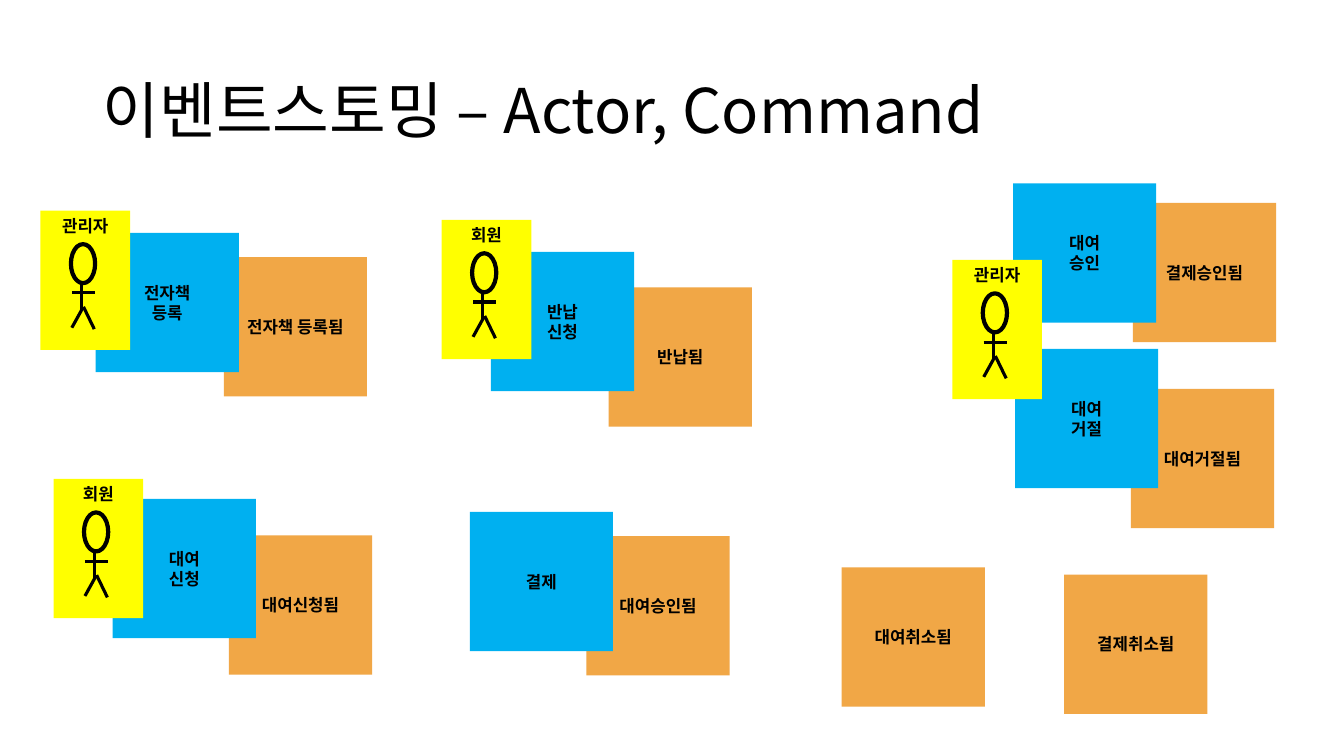
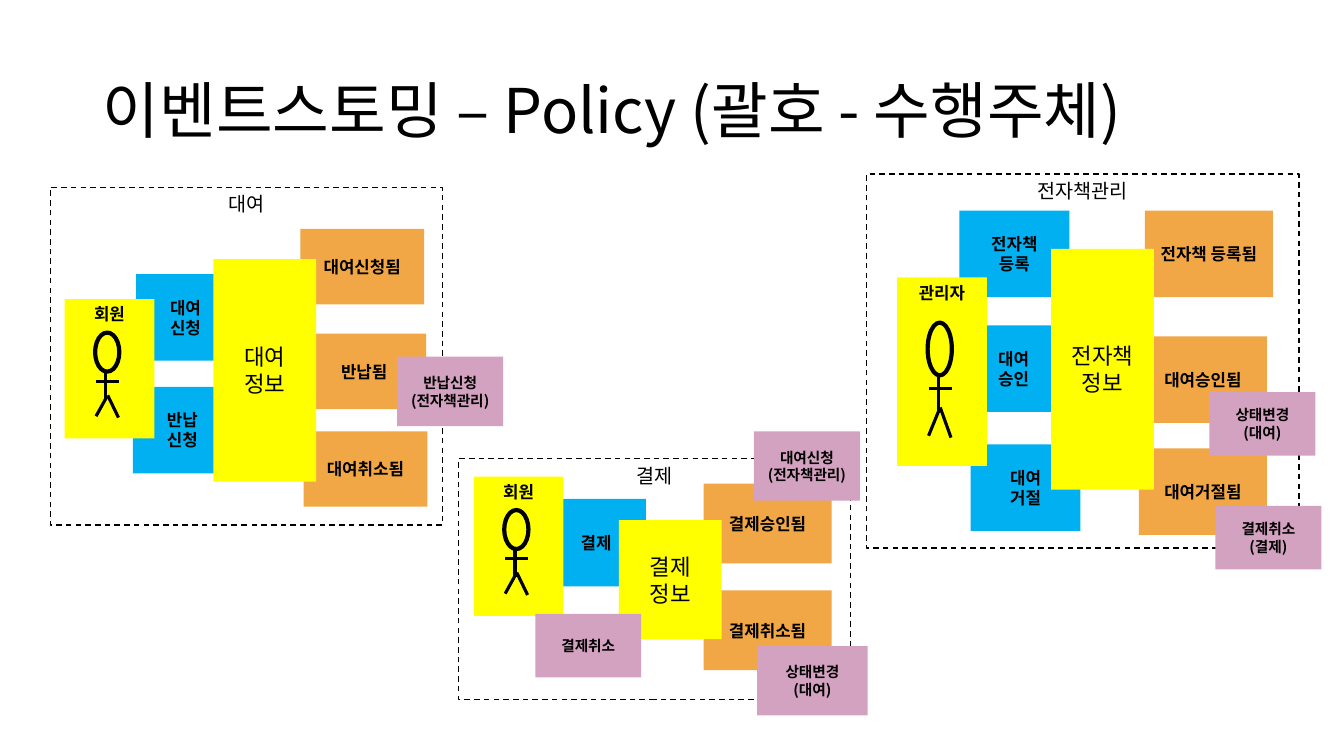
from dataclasses import dataclass
from typing import Optional

from lxml.etree import SubElement
from pptx import Presentation
from pptx.dml.color import RGBColor
from pptx.enum.dml import MSO_LINE
from pptx.enum.shapes import MSO_CONNECTOR, MSO_SHAPE
from pptx.enum.text import MSO_ANCHOR, PP_ALIGN
from pptx.oxml.ns import qn
from pptx.util import Cm, Pt

FONT = "Noto Sans CJK KR"
COLORS = {
    "ink": "000000",
    "event": "F1A746",
    "command": "00B0F0",
    "yellow": "FFFF00",
    "policy": "D4A2C1",
}


@dataclass(frozen=True)
class Style:
    fill: Optional[str]
    size: float
    bold: bool = True
    anchor: MSO_ANCHOR = MSO_ANCHOR.MIDDLE


@dataclass(frozen=True)
class Note:
    """A sticky note; position and size in cm."""
    text: str
    x: float
    y: float
    w: float
    h: float


@dataclass(frozen=True)
class Limb:
    """A stroke of the stick figure, as fractions of the actor note."""
    x1: float
    y1: float
    x2: float
    y2: float


# Kinds of note, listed from back to front
STYLES = {
    "event": Style("event", 12),
    "command": Style("command", 12),
    "actor": Style("yellow", 12, anchor=MSO_ANCHOR.TOP),
    "aggregate": Style("yellow", 16, bold=False),
    "boundary": Style(None, 14, bold=False, anchor=MSO_ANCHOR.TOP),
    "policy": Style("policy", 10.5),
}

HEAD = (0.34, 0.24, 0.27, 0.28)
LIMBS = [
    Limb(0.35, 0.59, 0.61, 0.59),  # arms
    Limb(0.46, 0.52, 0.46, 0.72),  # body
    Limb(0.47, 0.7, 0.35, 0.84),   # left leg
    Limb(0.48, 0.69, 0.6, 0.85),   # right leg
]

# Shared note sizes
SQUARE = (3.61, 3.51)
ACTOR = (2.26, 3.51)
RENT_EVENT = (3.12, 1.9)
BOOK_EVENT = (3.23, 2.18)
PAY_EVENT = (3.23, 2.01)
RENT_COMMAND = (2.49, 2.18)
BOOK_COMMAND = (2.77, 2.18)
LOW_POLICY = (2.67, 1.6)
TALL_POLICY = (2.67, 1.75)

ACTOR_COMMAND = {
    "event": [
        Note("전자책 등록됨", 5.64, 6.48, *SQUARE),
        Note("대여신청됨", 5.77, 13.49, *SQUARE),
        Note("결제승인됨", 28.55, 5.11, *SQUARE),
        Note("대여승인됨", 14.78, 13.51, *SQUARE),
        Note("대여거절됨", 28.5, 9.8, *SQUARE),
        Note("반납됨", 15.34, 7.24, *SQUARE),
        Note("대여취소됨", 21.21, 14.3, *SQUARE),
        Note("결제취소됨", 26.82, 14.48, *SQUARE),
    ],
    "command": [
        Note("전자책\n등록", 2.41, 5.87, *SQUARE),
        Note("대여\n신청", 2.84, 12.57, *SQUARE),
        Note("대여\n승인", 25.53, 4.62, *SQUARE),
        Note("반납\n신청", 12.37, 6.35, *SQUARE),
        Note("결제", 11.84, 12.9, *SQUARE),
        Note("대여\n거절", 25.58, 8.79, *SQUARE),
    ],
    "actor": [
        Note("회원", 1.35, 12.07, *ACTOR),
        Note("회원", 11.13, 5.54, *ACTOR),
        Note("관리자", 1.02, 5.31, *ACTOR),
        Note("관리자", 24, 6.55, *ACTOR),
    ],
}

POLICY = {
    "event": [
        Note("전자책 등록됨", 28.85, 5.31, *BOOK_EVENT),
        Note("대여승인됨", 28.7, 8.48, *BOOK_EVENT),
        Note("대여거절됨", 28.7, 11.3, *BOOK_EVENT),
        Note("대여신청됨", 7.57, 5.77, *RENT_EVENT),
        Note("반납됨", 7.62, 8.41, *RENT_EVENT),
        Note("대여취소됨", 7.65, 10.87, *RENT_EVENT),
        Note("결제승인됨", 17.73, 12.19, *PAY_EVENT),
        Note("결제취소됨", 17.73, 14.88, *PAY_EVENT),
    ],
    "command": [
        Note("전자책\n등록", 24.18, 5.31, *BOOK_COMMAND),
        Note("대여\n승인", 24.16, 8.2, *BOOK_COMMAND),
        Note("대여\n거절", 24.46, 11.2, *BOOK_COMMAND),
        Note("대여\n신청", 3.43, 6.91, *RENT_COMMAND),
        Note("반납\n신청", 3.35, 9.75, *RENT_COMMAND),
        Note("결제", 13.77, 12.57, 2.51, 2.21),
    ],
    "actor": [
        Note("회원", 1.63, 7.54, *ACTOR),
        Note("관리자", 22.61, 6.99, 2.26, 4.75),
        Note("회원", 11.94, 12.01, *ACTOR),
    ],
    "aggregate": [
        Note("전자책\n정보", 26.49, 6.27, 2.59, 6.07),
        Note("대여\n정보", 5.38, 6.53, 2.59, 5.61),
        Note("결제\n정보", 15.6, 13.11, 2.59, 3),
    ],
    "boundary": [
        Note("대여", 1.27, 4.72, 9.88, 8.51),
        Note("전자책관리", 21.84, 4.39, 10.9, 9.42),
        Note("결제", 11.56, 11.56, 9.88, 6.07),
    ],
    "policy": [
        Note("상태변경\n(대여)", 30.48, 9.88, *LOW_POLICY),
        Note("결제취소\n(결제)", 30.63, 12.75, *LOW_POLICY),
        Note("결제취소", 13.49, 15.47, *LOW_POLICY),
        Note("반납신청\n(전자책관리)", 10.01, 8.99, *TALL_POLICY),
        Note("대여신청\n(전자책관리)", 19, 10.87, *TALL_POLICY),
        Note("상태변경\n(대여)", 19.08, 16.28, 2.79, 1.75),
    ],
}

SLIDES = [
    ("이벤트스토밍 – Actor, Command", ACTOR_COMMAND),
    ("이벤트스토밍 – Policy (괄호 - 수행주체)", POLICY),
]


def rgb(name: str) -> RGBColor:
    return RGBColor.from_string(COLORS[name])


def write(tf, text: str, size: float, bold: bool, align, anchor) -> None:
    tf.word_wrap = True
    tf.vertical_anchor = anchor
    for i, line in enumerate(text.split("\n")):
        p = tf.add_paragraph() if i else tf.paragraphs[0]
        p.text = line
        p.alignment = align
        p.font.size = Pt(size)
        p.font.bold = bold
        p.font.color.rgb = rgb("ink")
        p.font.name = FONT
        # Korean glyphs take the East Asian typeface
        props = p._p.pPr.find(qn("a:defRPr"))
        SubElement(props, qn("a:ea")).set("typeface", FONT)


def add_title(s, text: str) -> None:
    box = s.shapes.add_textbox(Cm(2.34), Cm(1.02), Cm(29.21), Cm(3.68))
    write(box.text_frame, text, 44, False, PP_ALIGN.LEFT, MSO_ANCHOR.MIDDLE)
    box.text_frame.paragraphs[0].line_spacing = 0.9


def add_note(shapes, note: Note, style: Style) -> None:
    sp = shapes.add_shape(MSO_SHAPE.RECTANGLE, Cm(note.x), Cm(note.y),
                          Cm(note.w), Cm(note.h))
    sp.shadow.inherit = False
    if style.fill:
        sp.fill.solid()
        sp.fill.fore_color.rgb = rgb(style.fill)
        sp.line.fill.background()
    else:
        sp.fill.background()
        sp.line.color.rgb = rgb("ink")
        sp.line.width = Pt(1)
        sp.line.dash_style = MSO_LINE.DASH
    write(sp.text_frame, note.text, style.size, style.bold,
          PP_ALIGN.CENTER, style.anchor)


def add_actor(s, note: Note, style: Style) -> None:
    shapes = s.shapes.add_group_shape().shapes
    add_note(shapes, note, style)

    def px(f: float) -> Cm:
        return Cm(note.x + f * note.w)

    def py(f: float) -> Cm:
        return Cm(note.y + f * note.h)

    # Head
    x, y, w, h = HEAD
    head = shapes.add_shape(MSO_SHAPE.OVAL, px(x), py(y),
                            Cm(w * note.w), Cm(h * note.h))
    head.shadow.inherit = False
    head.fill.background()
    head.line.color.rgb = rgb("ink")
    head.line.width = Pt(3)

    # Body, arms and legs
    for limb in LIMBS:
        cx = shapes.add_connector(MSO_CONNECTOR.STRAIGHT, px(limb.x1), py(limb.y1),
                                  px(limb.x2), py(limb.y2))
        cx.line.color.rgb = rgb("ink")
        cx.line.width = Pt(2.25)
        SubElement(cx._element.spPr, qn("a:effectLst"))


def main() -> None:
    prs = Presentation()
    prs.slide_width, prs.slide_height = Cm(33.87), Cm(19.05)
    for title, notes in SLIDES:
        s = prs.slides.add_slide(prs.slide_layouts[6])
        add_title(s, title)
        for kind, style in STYLES.items():
            for note in notes.get(kind, []):
                if kind == "actor":
                    add_actor(s, note, style)
                else:
                    add_note(s.shapes, note, style)
    prs.save("out.pptx")


if __name__ == "__main__":
    main()
